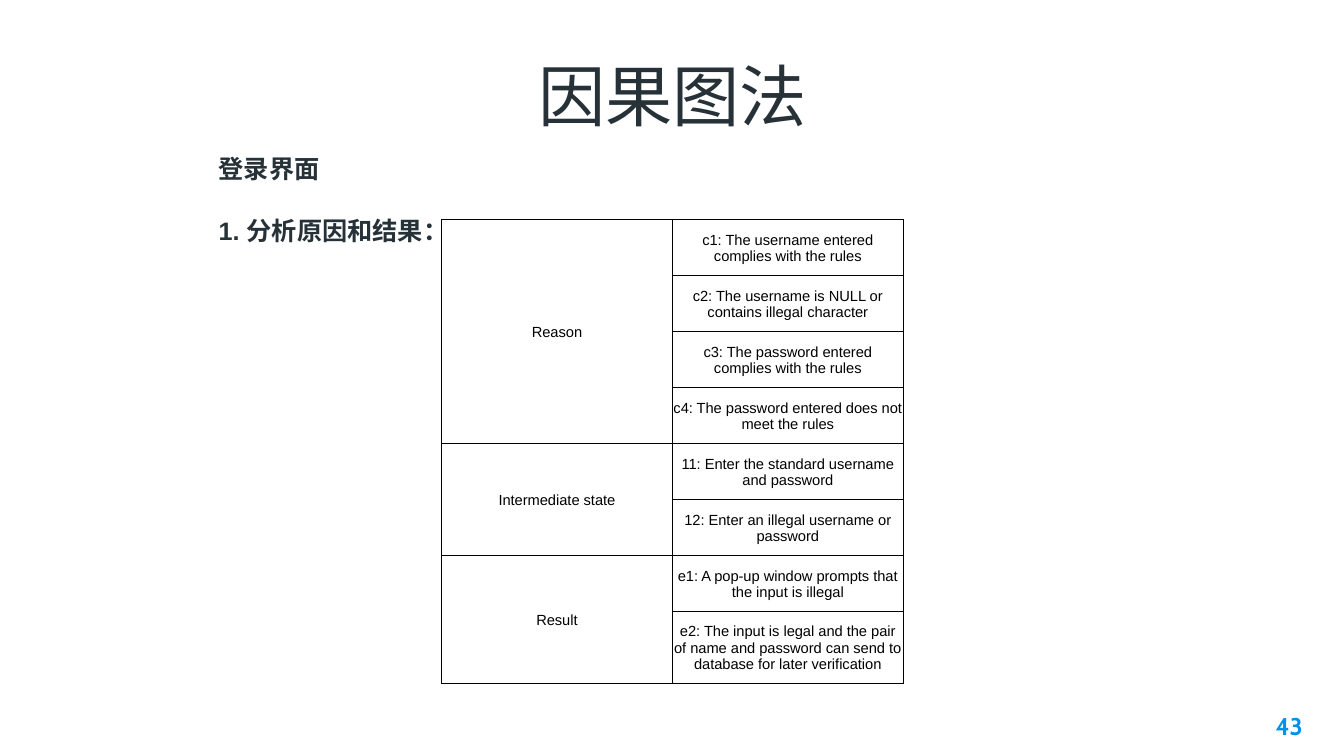
from dataclasses import dataclass

from lxml import etree
from pptx import Presentation
from pptx.dml.color import RGBColor
from pptx.enum.text import MSO_ANCHOR, MSO_AUTO_SIZE, PP_ALIGN
from pptx.oxml.ns import qn
from pptx.util import Inches, Pt

LEFT, CENTER, RIGHT = PP_ALIGN.LEFT, PP_ALIGN.CENTER, PP_ALIGN.RIGHT
TOP, MIDDLE, BOTTOM = MSO_ANCHOR.TOP, MSO_ANCHOR.MIDDLE, MSO_ANCHOR.BOTTOM
NO_FIT = MSO_AUTO_SIZE.NONE
TITLE_ONLY = 5


@dataclass(frozen=True)
class Theme:
    font: str = "Arial"
    number_font: str = "Cabin"
    ink: str = "263238"
    accent: str = "0091EA"
    grid: str = "000000"
    title_size: float = 48
    label_size: float = 18
    number_size: float = 17.3
    cell_size: float = 10.5
    grid_width: float = 1


class SlideBuilder:
    def __init__(self, slide, theme):
        self.slide = slide
        self.theme = theme

    def set_text(self, frame, text, size, color, align=LEFT, bold=False, font=None):
        para = frame.paragraphs[0]
        para.text = text
        para.alignment = align
        para.font.name = font or self.theme.font
        para.font.size = Pt(size)
        para.font.bold = bold
        para.font.color.rgb = RGBColor.from_string(color)

    def set_frame(self, frame, anchor, side, edge):
        frame.word_wrap = True
        frame.auto_size = NO_FIT
        frame.vertical_anchor = anchor
        frame.margin_left = frame.margin_right = Inches(side)
        frame.margin_top = frame.margin_bottom = Inches(edge)

    def title(self, text, left, top, width, height):
        title = self.slide.shapes.title
        title.left, title.top = Inches(left), Inches(top)
        title.width, title.height = Inches(width), Inches(height)
        self.set_frame(title.text_frame, BOTTOM, 0.13, 0.13)
        self.set_text(title.text_frame, text, self.theme.title_size, self.theme.ink, CENTER)

    def text_box(self, left, top, width, height, side, edge):
        box = self.slide.shapes.add_textbox(
            Inches(left), Inches(top), Inches(width), Inches(height))
        self.set_frame(box.text_frame, TOP, side, edge)
        return box.text_frame

    def label(self, text, left, top):
        frame = self.text_box(left, top, 2.55, 0.4, 0.1, 0.05)
        self.set_text(frame, text, self.theme.label_size, self.theme.ink, bold=True)

    def page_number(self, text, left, top, width, height):
        frame = self.text_box(left, top, width, height, 0.13, 0.13)
        self.set_text(frame, text, self.theme.number_size, self.theme.accent,
                      RIGHT, True, self.theme.number_font)

    def style_cell(self, cell):
        properties = cell._tc.get_or_add_tcPr()
        for side in ("a:lnL", "a:lnR", "a:lnT", "a:lnB"):
            line = etree.SubElement(properties, qn(side), w=str(Pt(self.theme.grid_width)))
            fill = etree.SubElement(line, qn("a:solidFill"))
            etree.SubElement(fill, qn("a:srgbClr"), val=self.theme.grid)
        cell.fill.background()
        cell.vertical_anchor = MIDDLE
        cell.margin_left = cell.margin_right = cell.margin_top = Inches(0.01)
        cell.margin_bottom = 0

    def cell_text(self, cell, text):
        self.set_text(cell.text_frame, text, self.theme.cell_size, self.theme.grid, CENTER)

    def grouped_table(self, groups, left, top, width, height, last_height):
        entry_count = sum(len(entries) for entries in groups.values())
        row_height = (height - last_height) / (entry_count - 1)
        table = self.slide.shapes.add_table(
            entry_count, 2, Inches(left), Inches(top), Inches(width), Inches(height)).table
        table.first_row = table.horz_banding = False
        for row in table.rows:
            row.height = Inches(row_height)
        table.rows[entry_count - 1].height = Inches(last_height)
        for cell in table.iter_cells():
            self.style_cell(cell)

        first = 0
        for name, entries in groups.items():
            last = first + len(entries) - 1
            table.cell(first, 0).merge(table.cell(last, 0))
            self.cell_text(table.cell(first, 0), name)
            for index, entry in enumerate(entries, first):
                self.cell_text(table.cell(index, 1), entry)
            first = last + 1


CAUSES_AND_EFFECTS = {
    "Reason": [
        "c1: The username entered complies with the rules",
        "c2: The username is NULL or contains illegal character",
        "c3: The password entered complies with the rules",
        "c4: The password entered does not meet the rules",
    ],
    "Intermediate state": [
        "11: Enter the standard username and password",
        "12: Enter an illegal username or password",
    ],
    "Result": [
        "e1: A pop-up window prompts that the input is illegal",
        "e2: The input is legal and the pair of name and password can send to "
        "database for later verification",
    ],
}


def main():
    deck = Presentation()
    deck.slide_width, deck.slide_height = Inches(13.33), Inches(7.5)
    page = SlideBuilder(deck.slides.add_slide(deck.slide_layouts[TITLE_ONLY]), Theme())

    # Heading and page number
    page.title("因果图法", 1.15, 0.45, 11.04, 1.02)
    page.page_number("43", 12.25, 6.93, 0.8, 0.57)

    # Login screen analysis
    page.label("登录界面", 2.07, 1.47)
    page.grouped_table(CAUSES_AND_EFFECTS, 4.38, 2.18, 4.58, 4.6, last_height=0.71)
    page.label("1. 分析原因和结果：", 2.07, 2.09)

    deck.save("out.pptx")


if __name__ == "__main__":
    main()
